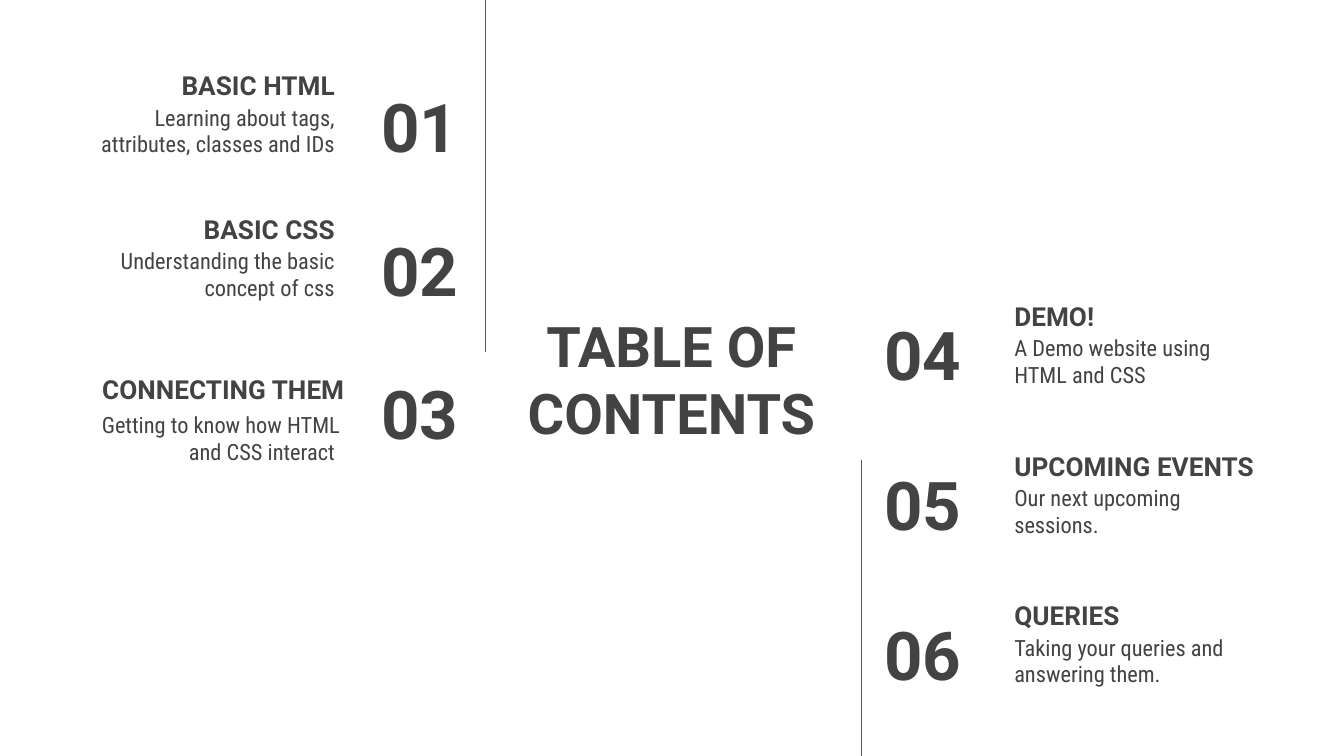
from dataclasses import dataclass

from lxml import etree
from pptx import Presentation
from pptx.dml.color import RGBColor
from pptx.enum import shapes, text
from pptx.oxml import ns
from pptx.util import Cm, Pt

DARK = RGBColor(0x43, 0x43, 0x43)
LINE_GREY = RGBColor(0x59, 0x59, 0x59)
LEFT, CENTER, RIGHT = text.PP_ALIGN.LEFT, text.PP_ALIGN.CENTER, text.PP_ALIGN.RIGHT
TOP, MIDDLE, BOTTOM = (text.MSO_ANCHOR.TOP, text.MSO_ANCHOR.MIDDLE,
                       text.MSO_ANCHOR.BOTTOM)
ROW_HEIGHT = 1.6


@dataclass
class Topic:
    """A numbered entry; widths and (right, down) shifts are in cm."""
    number: str
    heading: str
    body: str
    body_width: float
    heading_width: float = 5.49
    heading_shift: tuple = (0, 0)
    body_shift: tuple = (0, 0)


@dataclass
class Column:
    """text_edge is the box edge that headings and bodies align to, in cm."""
    topics: list
    align: int
    text_edge: float
    number_left: float
    number_width: float
    first_top: float
    pitch: float
    heading_offset: float
    body_offset: float


TITLE = "TABLE OF CONTENTS"
COLUMNS = [
    Column(
        [
            Topic("01", "BASIC HTML",
                  "Learning about tags, attributes, classes and IDs", 5.03),
            Topic("02", "BASIC CSS", "Understanding the basic concept of css", 5.49),
            Topic("03", "CONNECTING THEM",
                  "Getting to know how HTML and CSS interact ", 5.23,
                  heading_width=5.84, heading_shift=(0.18, 0.33),
                  body_shift=(0.1, 0.4)),
        ],
        align=RIGHT, text_edge=6.58, number_left=5.84, number_width=3.07,
        first_top=1.58, pitch=2.71, heading_offset=-1.02, body_offset=0.13,
    ),
    Column(
        [
            Topic("04", "DEMO!", "A Demo website using HTML and CSS", 4.65),
            Topic("05", "UPCOMING EVENTS", "Our next upcoming sessions.", 4.65),
            Topic("06", "QUERIES", "Taking your queries and answering them.", 4.65),
        ],
        align=LEFT, text_edge=18.92, number_left=16.46, number_width=2.97,
        first_top=5.89, pitch=2.83, heading_offset=-0.97, body_offset=0.18,
    ),
]
DIVIDERS = [(9.17, 0, 6.65), (16.28, 8.69, 14.33)]  # x, top, bottom


def write(shape, content, size, align, anchor, font="Roboto", bold=True):
    frame = shape.text_frame
    frame.text = content
    frame.word_wrap = True
    frame.auto_size = text.MSO_AUTO_SIZE.NONE
    frame.vertical_anchor = anchor
    frame.margin_left = frame.margin_right = Cm(0.25)
    frame.margin_top = frame.margin_bottom = Cm(0.25)
    paragraph = frame.paragraphs[0]
    paragraph.alignment = align
    run_font = paragraph.runs[0].font
    run_font.name, run_font.size, run_font.bold = font, Pt(size), bold
    run_font.color.rgb = DARK


def add_text(slide, left, top, width, *style, **options):
    box = slide.shapes.add_textbox(Cm(left), Cm(top), Cm(width), Cm(ROW_HEIGHT))
    write(box, *style, **options)


def add_column(slide, column):
    def text_left(width, shift):
        edge = column.text_edge + shift
        return edge - width if column.align == RIGHT else edge

    for row, topic in enumerate(column.topics):
        top = column.first_top + row * column.pitch
        add_text(slide, column.number_left, top, column.number_width,
                 topic.number, 36, column.align, MIDDLE)
        right, down = topic.heading_shift
        add_text(slide, text_left(topic.heading_width, right),
                 top + column.heading_offset + down, topic.heading_width,
                 topic.heading, 14, column.align, BOTTOM)
        right, down = topic.body_shift
        add_text(slide, text_left(topic.body_width, right),
                 top + column.body_offset + down, topic.body_width,
                 topic.body, 12, column.align, TOP,
                 font="Roboto Condensed", bold=False)


def add_divider(slide, x, top, bottom):
    line = slide.shapes.add_connector(
        shapes.MSO_CONNECTOR.STRAIGHT, Cm(x), Cm(top), Cm(x), Cm(bottom))
    line.line.color.rgb = LINE_GREY
    line.line.width = Pt(0.75)
    etree.SubElement(line._element.spPr, ns.qn("a:effectLst"))


def main():
    presentation = Presentation()
    presentation.slide_width, presentation.slide_height = Cm(25.4), Cm(14.29)
    slide = presentation.slides.add_slide(presentation.slide_layouts[5])

    title = slide.shapes.title
    title.left, title.top = Cm(9.4), Cm(5.84)
    title.width, title.height = Cm(6.58), Cm(2.62)
    write(title, TITLE, 30, CENTER, MIDDLE)

    for column in COLUMNS:
        add_column(slide, column)
    for divider in DIVIDERS:
        add_divider(slide, *divider)
    presentation.save("out.pptx")


if __name__ == "__main__":
    main()
